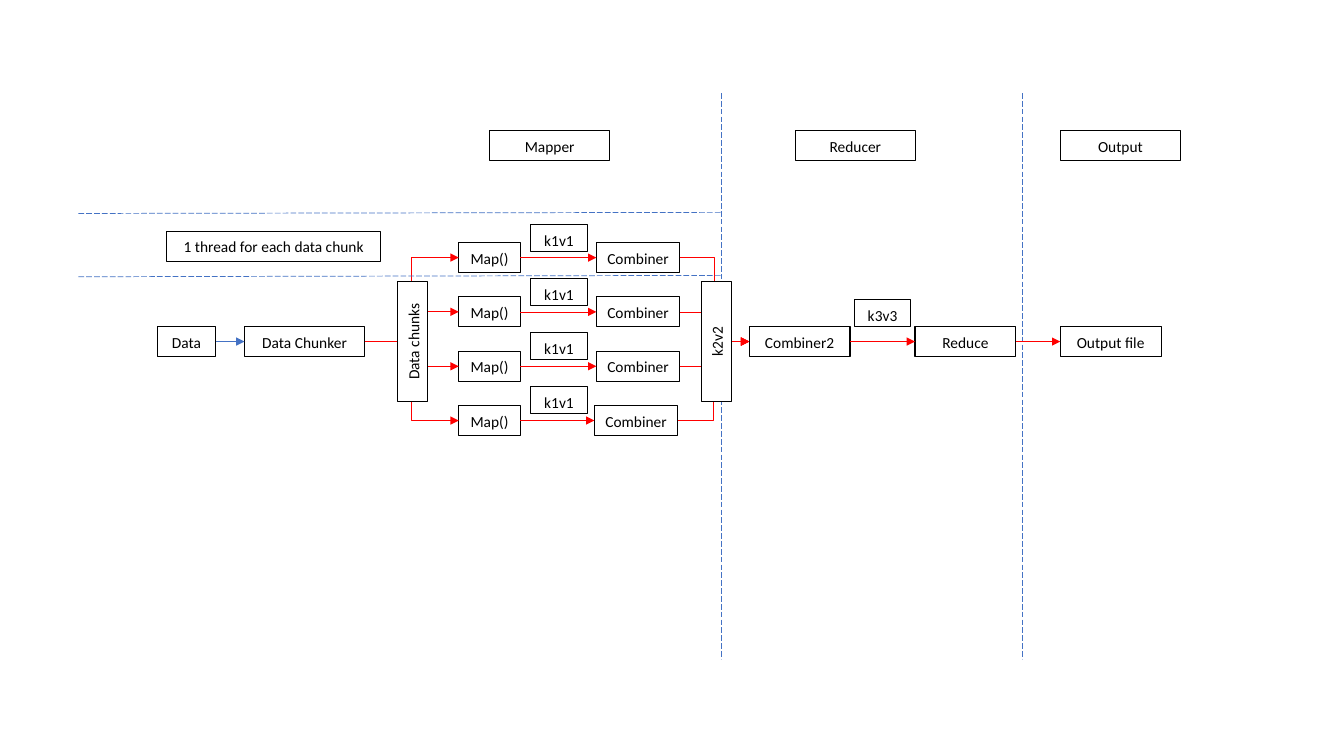
from pptx import Presentation
from pptx.dml.color import RGBColor
from pptx.enum.dml import MSO_LINE
from pptx.enum.shapes import MSO_CONNECTOR, MSO_SHAPE
from pptx.enum.text import MSO_ANCHOR, PP_ALIGN
from pptx.oxml.ns import qn
from pptx.util import Pt
from lxml import etree

COLORS = {"box": "FFFFFF", "ink": "000000", "flow": "FF0000", "guide": "4472C4"}
BOX_H, TAG_W, TAG_H = 21.5, 40.3, 19.2
HEADER_W, STEP_W = 86, 72
MID_Y = 244                                       # centre line of the main flow
THREAD_Y = [184 + 38.8 * i for i in range(4)]     # centre line of each thread
TAG_TOP = [160.4 + 38.6 * i for i in range(4)]


def rgb(name):
    return RGBColor.from_string(COLORS[name])


def add_box(slide, text, left, top, width, height=BOX_H, rotation=0):
    box = slide.shapes.add_shape(MSO_SHAPE.RECTANGLE, Pt(left), Pt(top), Pt(width), Pt(height))
    box.rotation = rotation
    box.shadow.inherit = False
    box.fill.solid()
    box.fill.fore_color.rgb = rgb("box")
    box.line.color.rgb = rgb("ink")
    box.line.width = Pt(0.75)
    frame = box.text_frame
    frame.word_wrap = True
    frame.vertical_anchor = MSO_ANCHOR.TOP
    paragraph = frame.paragraphs[0]
    paragraph.alignment = PP_ALIGN.CENTER
    paragraph.line_spacing = 1.07
    paragraph.space_after = Pt(8)
    run = paragraph.add_run()
    run.text = text
    run.font.name = "Calibri"
    run.font.size = Pt(11)
    run.font.color.rgb = rgb("ink")


def add_step(slide, text, left, width, center_y=MID_Y):
    add_box(slide, text, left, center_y - BOX_H / 2, width)


def add_upright_box(slide, text, center_x):
    add_box(slide, text, center_x - HEADER_W / 2, MID_Y - BOX_H / 2, HEADER_W, rotation=270)


def add_line(slide, start, end, color, kind=MSO_CONNECTOR.STRAIGHT):
    line = slide.shapes.add_connector(kind, *(Pt(v) for v in (*start, *end)))
    line.line.color.rgb = rgb(color)
    line.line.width = Pt(0.5)
    etree.SubElement(line._element.spPr, qn("a:effectLst"))
    return line


def add_arrow(slide, start, end, color="flow", kind=MSO_CONNECTOR.STRAIGHT):
    line = add_line(slide, start, end, color, kind)
    etree.SubElement(line.line._get_or_add_ln(), qn("a:tailEnd"), type="triangle")


def add_guide(slide, start, end):
    add_line(slide, start, end, "guide").line.dash_style = MSO_LINE.LONG_DASH


def main():
    prs = Presentation()
    prs.slide_width, prs.slide_height = Pt(960), Pt(540)
    slide = prs.slides.add_slide(prs.slide_layouts[6])

    # Stage headers and the dividers between stages
    for text, left in (("Mapper", 349.7), ("Reducer", 568), ("Output", 757.4)):
        add_box(slide, text, left, 93.3, HEADER_W)
    for x in (515.2, 730.2):
        add_guide(slide, (x, 66.5), (x, 470.6))

    # Input
    add_step(slide, "Data", 112.5, 41.5)
    add_step(slide, "Data Chunker", 174.6, HEADER_W)
    add_arrow(slide, (154, MID_Y), (174.6, MID_Y), "guide")

    # Parallel threads, from the chunker to the second combiner
    map_left, map_w, combiner_w = 327.7, 44, 59.5
    for i, (y, tag_top) in enumerate(zip(THREAD_Y, TAG_TOP)):
        combiner_left = 424.6 if i == 3 else 426
        add_step(slide, "Map()", map_left, map_w, y)
        add_step(slide, "Combiner", combiner_left, combiner_w, y)
        add_arrow(slide, (260.6, MID_Y), (map_left, y), kind=MSO_CONNECTOR.ELBOW)
        add_arrow(slide, (map_left + map_w, y), (combiner_left, y))
        add_arrow(slide, (combiner_left + combiner_w, y), (535.2, MID_Y),
                  kind=MSO_CONNECTOR.ELBOW)
        add_box(slide, "k1v1", 379.2, tag_top, TAG_W, TAG_H)
    add_upright_box(slide, "Data chunks", 294.8)
    add_upright_box(slide, "k2v2", 511.6)

    # Band that marks a single thread
    add_guide(slide, (56, 197.7), (515.2, 196.7))
    add_guide(slide, (56, 152.5), (515.2, 151.7))
    add_box(slide, "1 thread for each data chunk", 119.2, 165.2, 152.7)

    # Reduce and output
    for text, left in (("Combiner2", 535.2), ("Reduce", 653.6), ("Output file", 757.4)):
        add_step(slide, text, left, STEP_W)
    add_arrow(slide, (607.2, MID_Y), (653.6, MID_Y))
    add_arrow(slide, (725.6, MID_Y), (757.4, MID_Y))
    add_box(slide, "k3v3", 610.3, 214, TAG_W, TAG_H)

    prs.save("out.pptx")


main()
